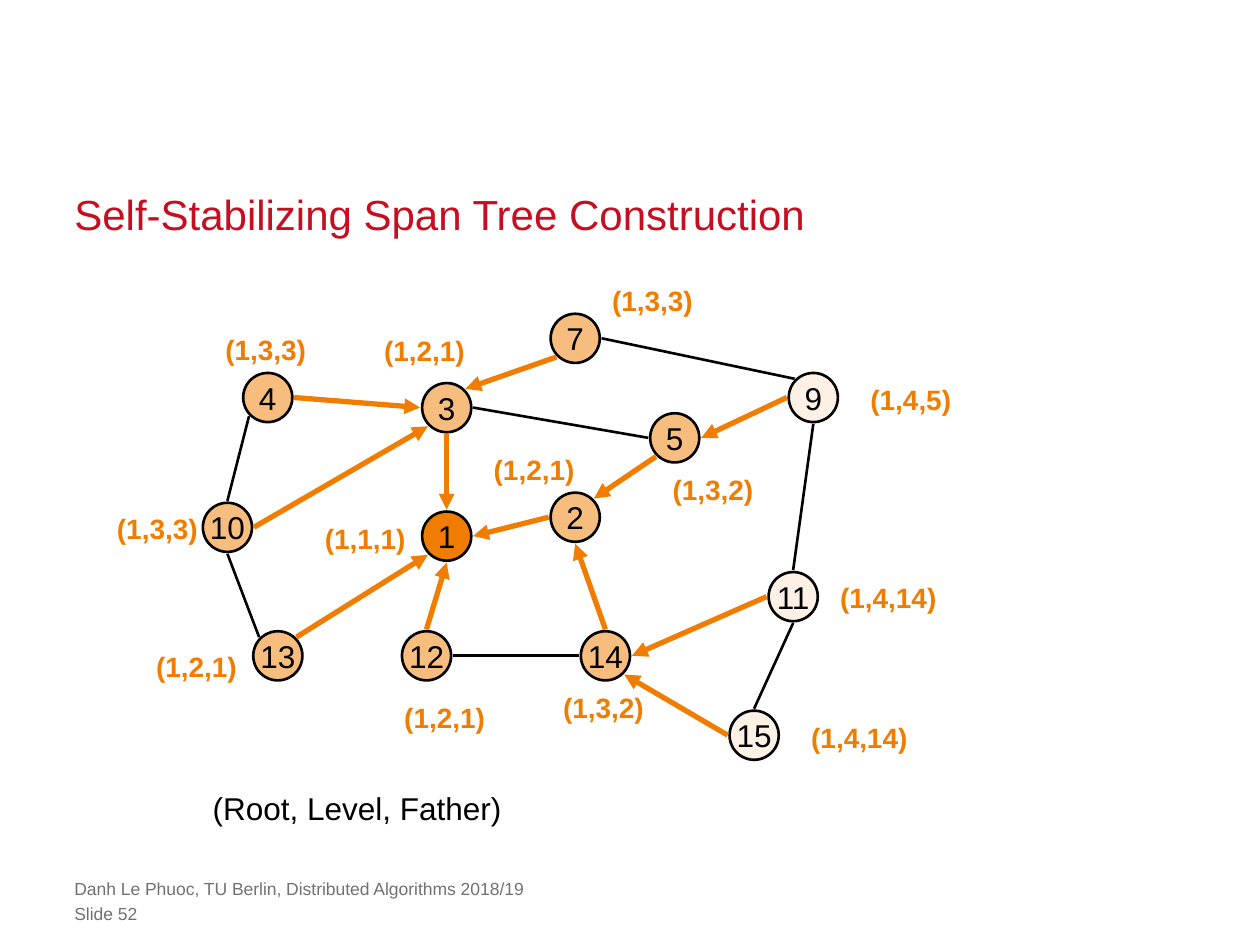
"""Build a slide showing a self-stabilizing spanning tree with node labels."""
from math import cos, radians, sin

from lxml import etree
from pptx import Presentation
from pptx.dml.color import RGBColor
from pptx.enum.shapes import MSO_CONNECTOR, MSO_SHAPE
from pptx.enum.text import MSO_ANCHOR, MSO_AUTO_SIZE, PP_ALIGN
from pptx.oxml.ns import qn
from pptx.util import Inches, Pt

STRAIGHT = MSO_CONNECTOR.STRAIGHT
ELLIPSE = MSO_SHAPE.OVAL
LEFT, CENTER = PP_ALIGN.LEFT, PP_ALIGN.CENTER
TOP, MIDDLE, BOTTOM = MSO_ANCHOR.TOP, MSO_ANCHOR.MIDDLE, MSO_ANCHOR.BOTTOM
NO_FIT, GROW = MSO_AUTO_SIZE.NONE, MSO_AUTO_SIZE.SHAPE_TO_FIT_TEXT

COLORS = {"title": "C50E1F", "footer": "717171", "tree": "F07C00", "ink": "000000"}
FONT = "Arial"
DIAMETER = 0.39
SITE_RADIUS = 0.21
LABEL_HEIGHT = 0.37
LABEL_WIDTHS = {7: 0.85, 8: 0.97}
SITE_ANGLES = {"E": 0, "SE": 45, "S": 90, "SW": 135, "W": 180, "NW": 225, "N": 270, "NE": 315}

TITLE = "Self-Stabilizing Span Tree Construction"
TITLE_BOX = (0.59, 1.48, 8.82, 0.42)
LEGEND = "(Root, Level, Father)"
LEGEND_BOX = (1.59, 6.21, 2.6, 0.4)
FOOTERS = [
    ("Danh Le Phuoc, TU Berlin, Distributed Algorithms 2018/19", 6.97),
    ("Slide 52", 7.17),
]

# number: (left, top, opacity percent, label, label left, label top)
NODES = {
    14: (4.61, 5.01, 50, "(1,3,2)", 4.37, 5.43),
    3: (3.35, 3.04, 50, "(1,2,1)", 2.95, 2.6),
    5: (5.16, 3.28, 50, "(1,3,2)", 5.24, 3.7),
    1: (3.35, 4.06, 100, "(1,1,1)", 2.48, 4.09),
    11: (6.1, 4.54, 10, "(1,4,14)", 6.57, 4.56),
    2: (4.37, 3.91, 50, "(1,2,1)", 3.82, 3.54),
    7: (4.37, 2.49, 50, "(1,3,3)", 4.76, 2.2),
    9: (6.26, 2.96, 10, "(1,4,5)", 6.81, 2.99),
    12: (3.19, 5.01, 50, "(1,2,1)", 3.11, 5.51),
    10: (1.61, 3.99, 50, "(1,3,3)", 0.83, 4.01),
    4: (1.93, 2.96, 50, "(1,3,3)", 1.69, 2.59),
    13: (2.01, 5.01, 50, "(1,2,1)", 1.14, 5.11),
    15: (5.79, 5.64, 10, "(1,4,14)", 6.34, 5.67),
}
TREE_EDGES = [
    (4, "E", 3, "W"), (10, "E", 3, "SW"), (7, "SW", 3, "NE"), (9, "W", 5, "E"),
    (5, "SW", 2, "NE"), (3, "S", 1, "N"), (2, "W", 1, "E"), (12, "N", 1, "S"),
    (13, "NE", 1, "SW"), (14, "N", 2, "S"), (11, "W", 14, "E"), (15, "W", 14, "SE"),
]
PLAIN_EDGES = [
    (4, "SW", 10, "N"), (3, "E", 5, "W"), (7, "E", 9, "NW"), (9, "S", 11, "N"),
    (10, "S", 13, "NW"), (11, "S", 15, "N"), (12, "E", 14, "W"),
]


def rgb(name):
    return RGBColor.from_string(COLORS[name])


def write_text(shape, text, size, color, bold=False, align=LEFT, margin=None, **frame_format):
    frame = shape.text_frame
    for name, value in frame_format.items():
        setattr(frame, name, value)
    if margin is not None:
        for side in ("left", "top", "right", "bottom"):
            setattr(frame, f"margin_{side}", Inches(margin))
    paragraph = frame.paragraphs[0]
    paragraph.alignment = align
    run = paragraph.add_run()
    run.text = text
    for name, value in {"name": FONT, "size": Pt(size), "bold": bold}.items():
        setattr(run.font, name, value)
    run.font.color.rgb = rgb(color)


def add_text(slide, box, *content, **options):
    shape = slide.shapes.add_textbox(*map(Inches, box))
    write_text(shape, *content, **options)


def add_node(slide, number):
    left, top, opacity = NODES[number][:3]
    shape = slide.shapes.add_shape(ELLIPSE, *map(Inches, (left, top, DIAMETER, DIAMETER)))
    shape.shadow.inherit = False
    shape.fill.solid()
    shape.fill.fore_color.rgb = rgb("tree")
    if opacity < 100:
        color = shape.fill._xPr.find(f".//{qn('a:srgbClr')}")
        etree.SubElement(color, qn("a:alpha"), val=str(opacity * 1000))
    shape.line.color.rgb = rgb("ink")
    shape.line.width = Pt(1.5)
    write_text(shape, str(number), 18, "ink", align=CENTER,
               word_wrap=False, vertical_anchor=MIDDLE)


def site_point(number, site):
    left, top = NODES[number][:2]
    angle = radians(SITE_ANGLES[site])
    return (Inches(left + DIAMETER / 2 + SITE_RADIUS * cos(angle)),
            Inches(top + DIAMETER / 2 + SITE_RADIUS * sin(angle)))


def add_edge(slide, edge, color, width, arrow):
    start, start_site, end, end_site = edge
    connector = slide.shapes.add_connector(
        STRAIGHT, *site_point(start, start_site), *site_point(end, end_site))
    connector.line.color.rgb = rgb(color)
    connector.line.width = Pt(width)
    if arrow:
        etree.SubElement(connector.line._get_or_add_ln(), qn("a:tailEnd"), type="triangle")
    etree.SubElement(connector._element.spPr, qn("a:effectLst"))


def main():
    presentation = Presentation()
    presentation.slide_width, presentation.slide_height = Inches(10), Inches(7.5)
    slide = presentation.slides.add_slide(presentation.slide_layouts[5])

    title = slide.shapes.title
    for name, value in zip(("left", "top", "width", "height"), TITLE_BOX):
        setattr(title, name, Inches(value))
    write_text(title, TITLE, 24, "title", margin=0, word_wrap=True,
               vertical_anchor=BOTTOM, auto_size=NO_FIT)
    title.text_frame.paragraphs[0].line_spacing = Pt(30)

    for number in NODES:
        add_node(slide, number)
    for edge in TREE_EDGES:
        add_edge(slide, edge, "tree", 3, True)
    for edge in PLAIN_EDGES:
        add_edge(slide, edge, "ink", 1.5, False)
    for *_, label, left, top in NODES.values():
        add_text(slide, (left, top, LABEL_WIDTHS[len(label)], LABEL_HEIGHT),
                 label, 16, "tree", bold=True, word_wrap=False, auto_size=GROW)
    add_text(slide, LEGEND_BOX, LEGEND, 18, "ink", word_wrap=False, auto_size=GROW)
    for text, top in FOOTERS:
        add_text(slide, (0.59, top, 7.24, 0.17), text, 10, "footer",
                 margin=0, word_wrap=True, vertical_anchor=TOP)

    presentation.save("out.pptx")


if __name__ == "__main__":
    main()
